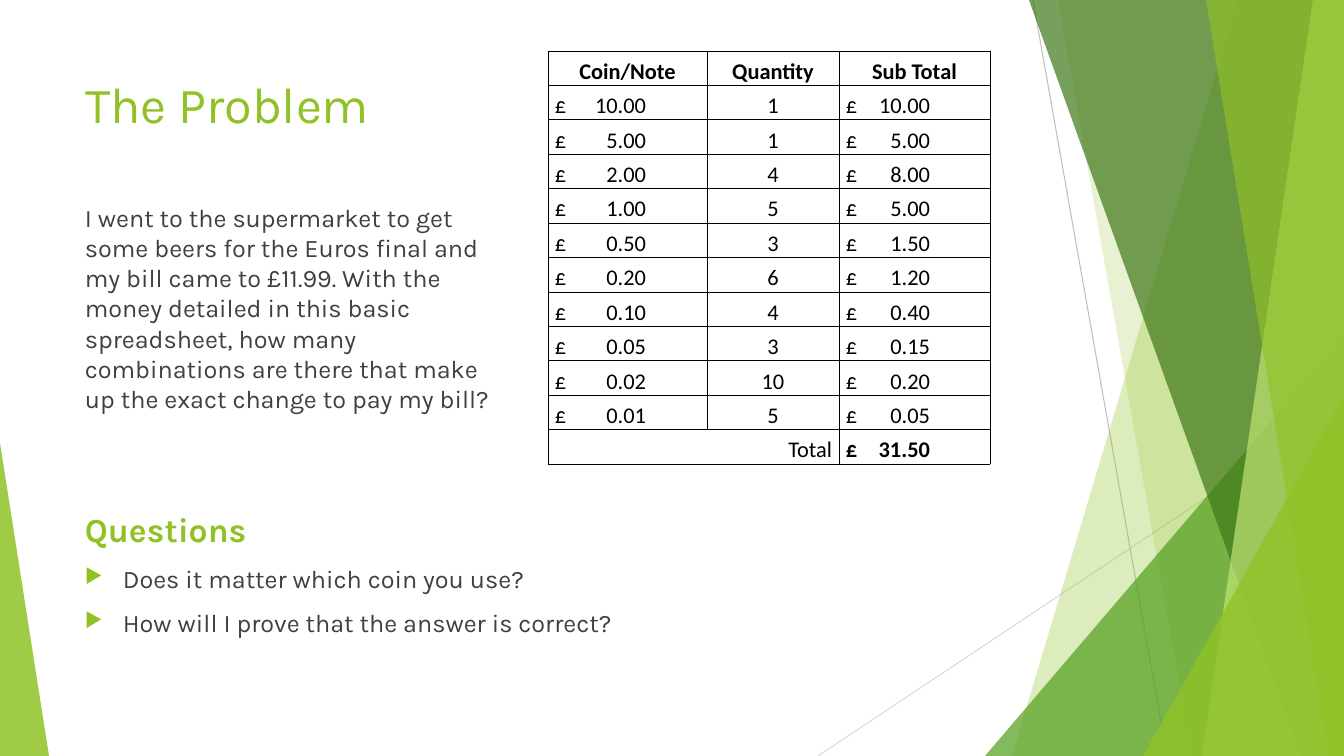
import pptx
import pptx.dml.color
import pptx.enum.shapes
import pptx.enum.text
import pptx.oxml
import pptx.oxml.ns
import pptx.util
from lxml import etree

RGB = pptx.dml.color.RGBColor
LIME = RGB(0x90, 0xC2, 0x26)
GREEN = RGB(0x54, 0xA0, 0x21)
FOREST = RGB(0x3F, 0x78, 0x19)
PALE = RGB(0xC0, 0xE4, 0x74)
TEXT = RGB(0x40, 0x40, 0x40)
BLACK = RGB(0, 0, 0)
GREY = RGB(0xBF, 0xBF, 0xBF)
LIGHT_GREY = RGB(0xD9, 0xD9, 0xD9)

ALIGN = pptx.enum.text.PP_ALIGN
COINS = [(10, 1), (5, 1), (2, 4), (1, 5), (0.5, 3), (0.2, 6),
         (0.1, 4), (0.05, 3), (0.02, 10), (0.01, 5)]


def px(n):
    """Turn pixels into EMU."""
    return pptx.util.Emu(round(n * 914400 / 100.8))


def add_xml(parent, tag, **attrs):
    """Append a drawing element to a parent and return it."""
    return etree.SubElement(parent, pptx.oxml.ns.qn("a:" + tag), attrs)


def style(p, size, color, font="Karla", bold=False):
    """Format every run of a paragraph."""
    for r in p.runs:
        r.font.size = pptx.util.Pt(size)
        r.font.name = font
        r.font.bold = bold
        r.font.color.rgb = color


def paint(sp, color, alpha):
    """Give a shape a see-through fill and no outline or shadow."""
    sp.shadow.inherit = False
    sp.fill.solid()
    sp.fill.fore_color.rgb = color
    clr = next(sp.fill._xPr.iter(pptx.oxml.ns.qn("a:srgbClr")))
    add_xml(clr, "alpha", val=str(alpha * 1000))
    sp.line.fill.background()


def add_line(slide, x1, y1, x2, y2, color):
    """Draw a thin straight line."""
    line = slide.shapes.add_connector(
        pptx.enum.shapes.MSO_CONNECTOR.STRAIGHT, px(x1), px(y1), px(x2), px(y2))
    line.line.color.rgb = color
    line.line.width = pptx.util.Pt(0.75)
    add_xml(line._element.spPr, "effectLst")


def add_blade(slide, box, top_x, bottom_x, color, alpha):
    """Fill the box from a slanted left edge to its right side."""
    x, y, w, h = box
    fb = slide.shapes.build_freeform(px(x + top_x), px(y), scale=1.0)
    fb.add_line_segments([(px(x + w), px(y)), (px(x + w), px(y + h)),
                          (px(x + bottom_x), px(y + h))], close=True)
    paint(fb.convert_to_shape(), color, alpha)


def add_wedge(slide, box, w, h, apex, color, alpha):
    """Set a triangle in the bottom left (apex 0) or right (apex 1) corner."""
    bx, by, bw, bh = box
    sp = slide.shapes.add_shape(
        pptx.enum.shapes.MSO_SHAPE.ISOSCELES_TRIANGLE,
        px(bx + apex * (bw - w)), px(by + bh - h), px(w), px(h))
    sp.adjustments[0] = apex
    paint(sp, color, alpha)


def add_facets(slide, box):
    """Draw the layered green background."""
    x, y, w, h = box
    add_line(slide, x + 1033, y, x + 1167, y + h, GREY)
    add_line(slide, x + w, y + 406, x + 818, y + h, LIGHT_GREY)
    add_blade(slide, box, 1238, 1012, LIME, 30)
    add_blade(slide, box, 1058, 1192, LIME, 20)
    add_wedge(slide, box, 359, 420, 1, GREEN, 72)
    add_blade(slide, box, 1029, 1301, FOREST, 70)
    add_blade(slide, box, 1313, 1202, PALE, 70)
    add_blade(slide, box, 1206, 1329, LIME, 65)
    add_wedge(slide, box, 201, 360, 1, LIME, 80)
    add_wedge(slide, box, 49, 313, 0, LIME, 85)


def add_title(slide, box):
    """Place and format the title."""
    sp = slide.shapes.title
    sp.left, sp.top, sp.width, sp.height = map(px, box)
    tf = sp.text_frame
    tf.text = "The Problem"
    tf.vertical_anchor = pptx.enum.text.MSO_ANCHOR.TOP
    tf.paragraphs[0].alignment = ALIGN.LEFT
    style(tf.paragraphs[0], 36, LIME)


def add_textbox(slide, box):
    """Add a wrapping text box and return its text frame."""
    tf = slide.shapes.add_textbox(*map(px, box)).text_frame
    tf.word_wrap = True
    return tf


def add_problem(slide, box):
    """Write the problem statement."""
    tf = add_textbox(slide, box)
    tf.text = ("I went to the supermarket to get some beers for the Euros final "
               "and my bill came to £11.99. With the money detailed in this basic "
               "spreadsheet, how many combinations are there that make up the "
               "exact change to pay my bill?")
    style(tf.paragraphs[0], 18, TEXT)


def add_questions(slide, box):
    """Write the heading and the bulleted questions."""
    tf = add_textbox(slide, box)
    tf.text = "Questions"
    style(tf.paragraphs[0], 24, LIME, bold=True)
    for question in ("Does it matter which coin you use?",
                     "How will I prove that the answer is correct?"):
        p = tf.add_paragraph()
        p.text = question
        p.space_before = pptx.util.Pt(10)
        style(p, 18, TEXT)
        pPr = p._p.get_or_add_pPr()
        pPr.set("marL", str(px(38)))
        pPr.set("indent", str(-px(38)))
        add_xml(add_xml(pPr, "buClr"), "srgbClr", val=str(LIME))
        add_xml(pPr, "buSzPct", val="80000")
        add_xml(pPr, "buChar", char="▶")


def fill_cell(cell, text, align, bold=False, tab=None):
    """Write one bordered cell, with a right tab stop if one is given."""
    cell.margin_left = cell.margin_right = px(7)
    cell.margin_top, cell.margin_bottom = px(2), 0
    cell.vertical_anchor = pptx.enum.text.MSO_ANCHOR.BOTTOM
    p = cell.text_frame.paragraphs[0]
    p.text = text
    p.alignment = align
    style(p, 16, BLACK, "Calibri", bold)
    if tab:
        tabs = add_xml(p._p.get_or_add_pPr(), "tabLst")
        add_xml(tabs, "tab", pos=str(px(tab)), algn="r")
    tcPr = cell._tc.get_or_add_tcPr()
    for side in ("lnL", "lnR", "lnT", "lnB"):
        ln = add_xml(tcPr, side, w=str(pptx.util.Pt(0.5)))
        add_xml(add_xml(ln, "solidFill"), "srgbClr", val=str(BLACK))
    cell.fill.background()


def add_money_table(slide, box):
    """Tabulate the coins and notes with their subtotals and total."""
    rows = [("Coin/Note", "Quantity", "Sub Total")]
    rows += [(f"£\t{coin:.2f}", str(n), f"£\t{coin * n:.2f}") for coin, n in COINS]
    total = sum(coin * n for coin, n in COINS)
    rows.append(("Total", "", f"£\t{total:.2f}"))
    last = len(rows) - 1
    table = slide.shapes.add_table(len(rows), 3, *map(px, box)).table
    table.first_row = table.horz_banding = False
    for col, w in zip(table.columns, (159, 132, 151)):
        col.width = px(w)
    for i, row in enumerate(rows):
        table.rows[i].height = px(box[3] / len(rows))
        for j, text in enumerate(row):
            money = "£" in text
            align = ALIGN.LEFT if money else ALIGN.RIGHT if i == last else ALIGN.CENTER
            bold = i == 0 or (i == last and money)
            tab = (91, None, 84)[j] if money else None
            fill_cell(table.cell(i, j), text, align, bold, tab)
    table.cell(last, 0).merge(table.cell(last, 1))


def main():
    """Build the slide and save it."""
    prs = pptx.Presentation()
    prs.slide_width, prs.slide_height = px(1344), px(756)
    slide = prs.slides.add_slide(prs.slide_layouts[5])
    add_facets(slide, (0, 0, 1344, 756))
    add_title(slide, (75, 68, 948, 145))
    add_problem(slide, (75, 197, 436, 369))
    add_money_table(slide, (548, 51, 442, 413))
    add_questions(slide, (75, 504, 948, 202))
    prs.save("out.pptx")


if __name__ == "__main__":
    main()
